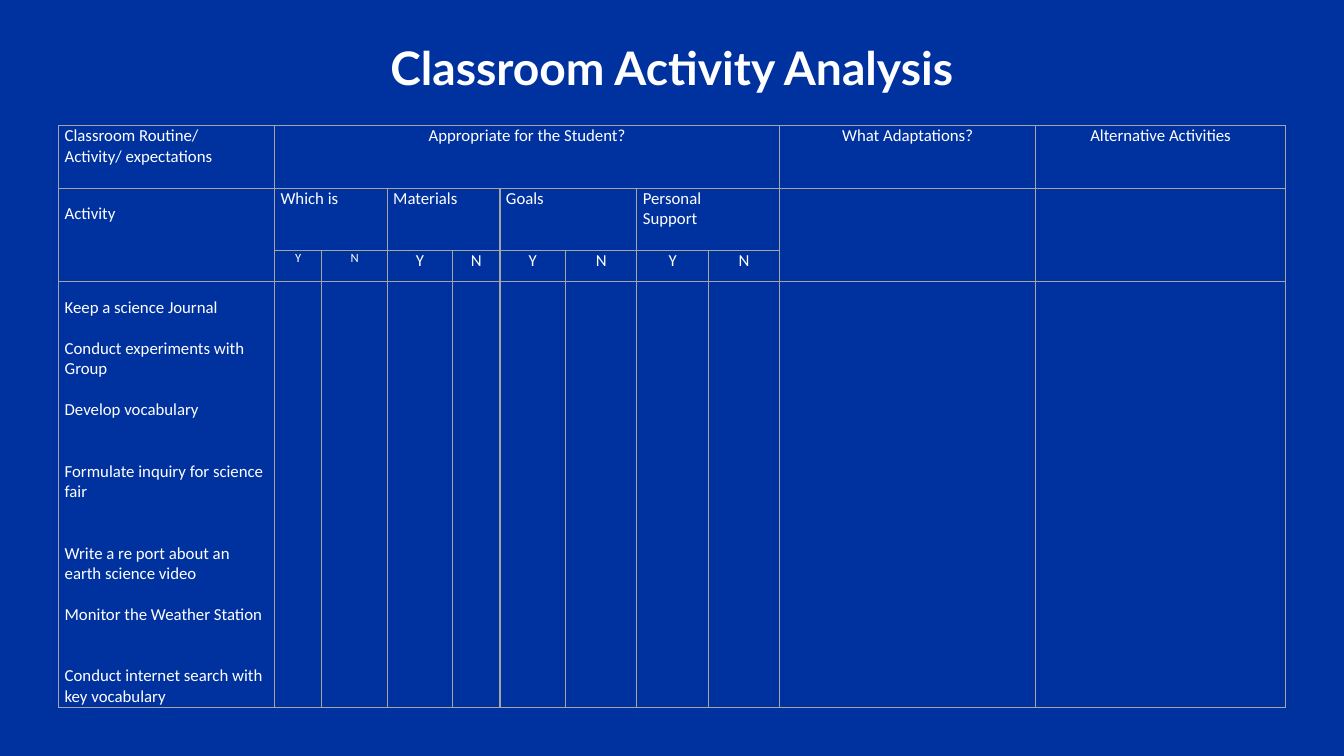
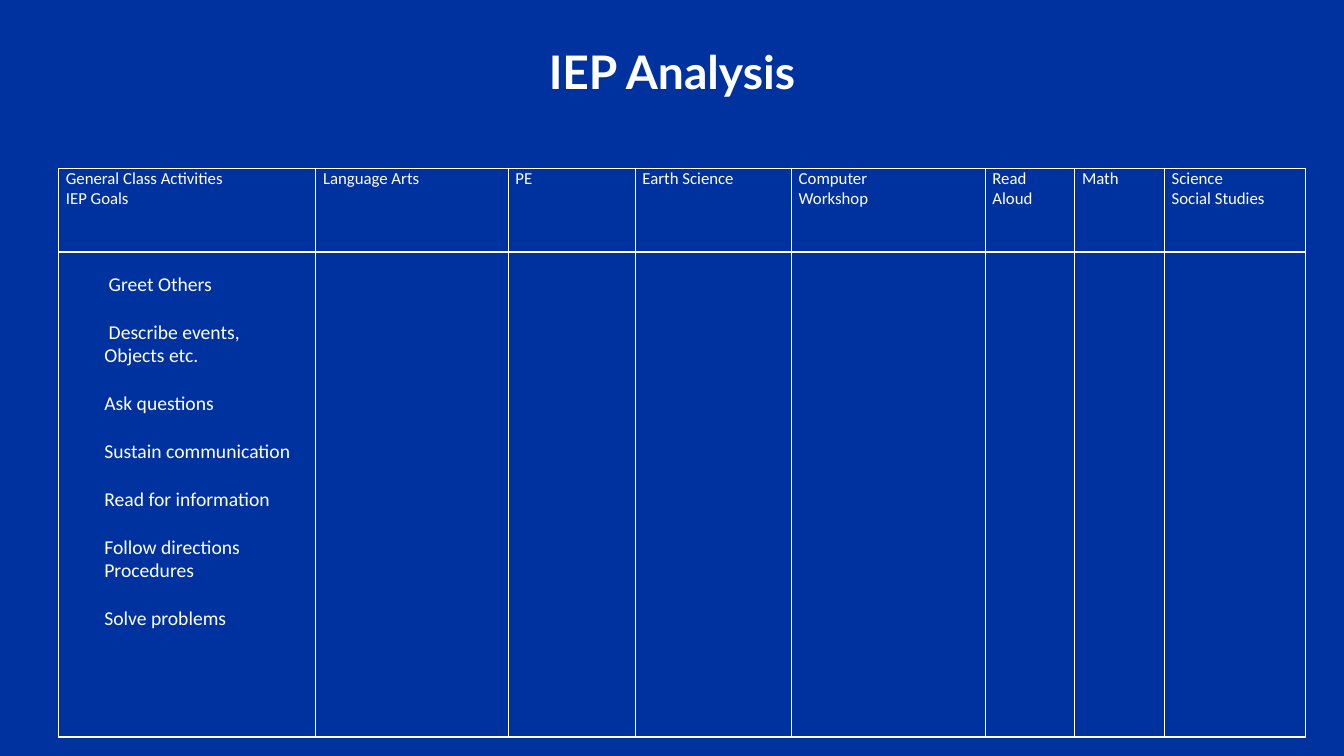
from dataclasses import dataclass

from lxml.etree import SubElement
from pptx import Presentation
from pptx.dml.color import RGBColor
from pptx.enum.text import MSO_ANCHOR, PP_ALIGN
from pptx.oxml.ns import qn
from pptx.util import Cm, Pt


@dataclass(frozen=True)
class Theme:
    background: str = "00329F"
    text: str = "FFFFFF"
    grey_border: str = "A5A5A5"
    white_border: str = "FFFFFF"
    title_font: str = "Lato"
    body_font: str = "Calibri"
    title_size: int = 33
    list_size: int = 14
    body_size: int = 12
    small_size: int = 9
    line_factor: float = 1.22  # line height relative to type size


THEME = Theme()


def apply_format(target, values):
    for name, value in values.items():
        setattr(target, name, value)


class PageBuilder:
    """Holds the deck, its style and the current page."""

    def __init__(self, theme):
        self.theme = theme
        self.deck = Presentation()
        apply_format(self.deck, {"slide_width": Cm(33.87), "slide_height": Cm(19.05)})
        fill = self.deck.slide_master.background.fill
        fill.solid()
        fill.fore_color.rgb = RGBColor.from_string(theme.background)
        self.page = None

    def add_page(self):
        self.page = self.deck.slides.add_slide(self.deck.slide_layouts[6])

    def add_span(self, para, text, font, size, bold=False):
        span = para.add_run()
        span.text = text
        apply_format(span.font, {"name": font, "size": Pt(size), "bold": bold})
        span.font.color.rgb = RGBColor.from_string(self.theme.text)

    def add_title(self, text, top, height):
        box = self.page.shapes.add_textbox(Cm(2.33), Cm(top), Cm(29.21), Cm(height))
        apply_format(box.text_frame, {"word_wrap": True,
                                      "vertical_anchor": MSO_ANCHOR.MIDDLE})
        para = box.text_frame.paragraphs[0]
        apply_format(para, {"alignment": PP_ALIGN.CENTER, "line_spacing": 0.9})
        self.add_span(para, text, self.theme.title_font, self.theme.title_size, True)

    def add_grid(self, top, columns, rows, border, side_margin):
        """Add an empty ruled table; columns and rows are sizes in cm."""
        frame = self.page.shapes.add_table(
            len(rows), len(columns), Cm(1.48), Cm(top), Cm(sum(columns)), Cm(sum(rows)))
        table = frame.table
        apply_format(table, {"first_row": False, "horz_banding": False})
        for column, width in zip(table.columns, columns):
            column.width = Cm(width)
        for row, height in zip(table.rows, rows):
            row.height = Cm(height)
        for cell in table.iter_cells():
            apply_format(cell, {"margin_left": Cm(side_margin),
                                "margin_right": Cm(side_margin),
                                "margin_top": 0, "margin_bottom": 0})
            self.add_borders(cell, border)
            cell.fill.solid()
            cell.fill.fore_color.rgb = RGBColor.from_string(self.theme.background)
        return table

    def add_borders(self, cell, color):
        properties = cell._tc.get_or_add_tcPr()
        for side in ("a:lnL", "a:lnR", "a:lnT", "a:lnB"):
            line = SubElement(properties, qn(side), w=str(Pt(1)))
            SubElement(SubElement(line, qn("a:solidFill")), qn("a:srgbClr"), val=color)

    def fill_cell(self, cell, entries, size=None, align=PP_ALIGN.LEFT,
                  top_margin=0, indent=0):
        """Each entry is (text, blank lines above, extra first-line indent in cm)."""
        size = size or self.theme.body_size
        cell.margin_top = Cm(top_margin)
        for index, (text, gap, first_indent) in enumerate(entries):
            frame = cell.text_frame
            para = frame.add_paragraph() if index else frame.paragraphs[0]
            values = {"alignment": align}
            if gap:
                values["space_before"] = Pt(round(gap * size * self.theme.line_factor, 1))
            apply_format(para, values)
            if indent:
                properties = para._p.get_or_add_pPr()
                properties.set("marL", str(Cm(indent)))
                properties.set("indent", str(Cm(first_indent)))
            self.add_span(para, text, self.theme.body_font, size)


def lines(*texts):
    return [(text, 0, 0) for text in texts]


def build_activity_page(builder):
    builder.add_page()
    builder.add_title("Classroom Activity Analysis", 0.84, 1.9)
    table = builder.add_grid(
        3.17, [5.44, 1.19, 1.65, 1.65, 1.19, 1.65, 1.8, 1.8, 1.8, 6.45, 6.3],
        [1.57, 1.57, 0.79, 10.72], builder.theme.grey_border, 0.15)

    # Merged headings: the question, activity, adaptations and alternatives
    table.cell(0, 1).merge(table.cell(0, 8))
    for column in (0, 9, 10):
        table.cell(1, column).merge(table.cell(2, column))
    builder.fill_cell(table.cell(0, 0),
                      lines("Classroom Routine/", "Activity/ expectations"))
    for column, text in ((1, "Appropriate for the Student?"),
                         (9, "What Adaptations?"), (10, "Alternative Activities")):
        builder.fill_cell(table.cell(0, column), lines(text), align=PP_ALIGN.CENTER)
    builder.fill_cell(table.cell(1, 0), lines("Activity"), top_margin=0.39)

    # Criteria, each with a yes and a no column
    criteria = [("Which is",), ("Materials",), ("Goals",), ("Personal", "Support")]
    for index, words in enumerate(criteria):
        first = 1 + 2 * index
        table.cell(1, first).merge(table.cell(1, first + 1))
        builder.fill_cell(table.cell(1, first), lines(*words))
        size = builder.theme.body_size if index else builder.theme.small_size
        for offset, answer in enumerate("YN"):
            builder.fill_cell(table.cell(2, first + offset), lines(answer),
                              size, PP_ALIGN.CENTER)

    # Activities
    activities = [
        ("Keep a science Journal", 0, 0),
        ("Conduct experiments with", 1, 0),
        ("Group", 0, 0),
        ("Develop vocabulary", 1, 0),
        ("Formulate inquiry for science fair", 2, 0),
        ("Write a re port about an earth science video", 2, 0),
        ("Monitor the Weather Station", 1, 0),
        ("Conduct internet search with key vocabulary", 2, 0),
    ]
    builder.fill_cell(table.cell(3, 0), activities, top_margin=0.39)


def build_goals_page(builder):
    builder.add_page()
    builder.add_title("IEP Analysis", 1.02, 1.73)
    table = builder.add_grid(
        4.24, [6.48, 4.85, 3.2, 3.94, 4.88, 2.26, 2.26, 3.56],
        [2.11, 12.22], builder.theme.white_border, 0.18)

    # Class activities
    headings = [("General Class Activities", "IEP Goals"), ("Language Arts",), ("PE",),
                ("Earth Science",), ("Computer", "Workshop"), ("Read Aloud",),
                ("Math",), ("Science", "Social Studies")]
    for column, words in enumerate(headings):
        builder.fill_cell(table.cell(0, column), lines(*words))

    # Goals
    goals = [
        ("Greet Others", 0, 0.11),
        ("Describe events,", 1, 0.11),
        ("Objects etc.", 0, 0),
        ("Ask questions", 1, 0),
        ("Sustain communication", 1, 0),
        ("Read for information", 1, 0),
        ("Follow directions", 1, 0),
        ("Procedures", 0, 0),
        ("Solve problems", 1, 0),
    ]
    builder.fill_cell(table.cell(1, 0), goals, builder.theme.list_size,
                      top_margin=0.52, indent=0.97)


def main():
    builder = PageBuilder(THEME)
    build_activity_page(builder)
    build_goals_page(builder)
    builder.deck.save("out.pptx")


if __name__ == "__main__":
    main()
